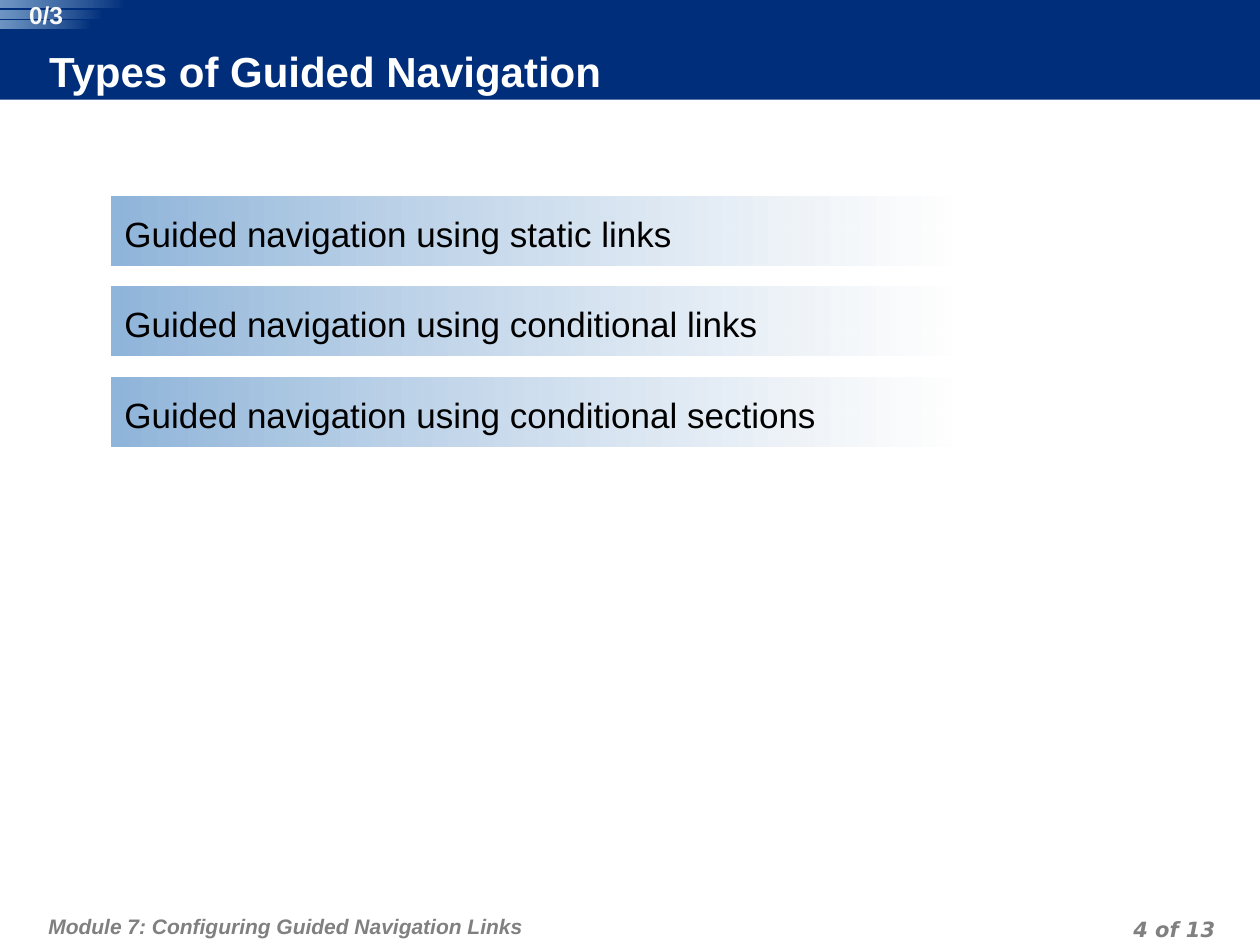
"""Builds the slide on the types of guided navigation."""
from lxml.etree import SubElement
from pptx import Presentation
from pptx.dml.color import RGBColor as Rgb
from pptx.enum.shapes import MSO_SHAPE as Preset
from pptx.enum.text import MSO_ANCHOR as Anchor, PP_ALIGN as Align
from pptx.oxml.ns import qn
from pptx.util import Pt

COLORS = {
    "navy": "002E7A",
    "sky": "90B5DA",
    "pale": "FEFEFE",
    "white": "FFFFFF",
    "counter": "F8F8F8",
    "gray": "808080",
    "black": "000000",
}


class SlideBuilder:
    def __init__(self, slide, font="Arial"):
        self.slide = slide
        self.font = font

    def color(self, name):
        return Rgb.from_string(COLORS[name])

    def set_text(self, shape, text, size, color, insets, align=Align.LEFT,
                 anchor=Anchor.TOP, bold=True, italic=False, font=None, line=None):
        frame = shape.text_frame
        frame.word_wrap = True
        frame.vertical_anchor = anchor
        (frame.margin_left, frame.margin_top,
         frame.margin_right, frame.margin_bottom) = map(Pt, insets)
        frame.text = text
        paragraph = frame.paragraphs[0]
        paragraph.alignment = align
        if line:
            paragraph.line_spacing = Pt(line)
        style = paragraph.font
        style.name = font or self.font
        style.size = Pt(size)
        style.bold = bold
        style.italic = italic
        style.color.rgb = self.color(color)

    def title(self, text, *box):
        title = self.slide.shapes.title
        title.left, title.top, title.width, title.height = map(Pt, box)
        title.fill.solid()
        title.fill.fore_color.rgb = self.color("navy")
        self.set_text(title, text, 24, "white", (0, 0, 3.6, 3.6), anchor=Anchor.MIDDLE)
        title.element.getparent().append(title.element)

    def label(self, text, box, size, color, insets, **style):
        label = self.slide.shapes.add_textbox(*map(Pt, box))
        self.set_text(label, text, size, color, insets, **style)

    def panel(self, preset, box):
        panel = self.slide.shapes.add_shape(preset, *map(Pt, box))
        panel.shadow.inherit = False
        panel.line.fill.background()
        return panel

    def band(self, *box):
        band = self.panel(Preset.RECTANGLE, box)
        band.fill.solid()
        band.fill.fore_color.rgb = self.color("navy")

    def fading_bar(self, box, stops):
        bar = self.panel(Preset.ROUNDED_RECTANGLE, box)
        bar.adjustments[0] = 0
        bar.fill.gradient()
        bar.fill.gradient_angle = 180
        for stop, (name, _) in zip(bar.fill.gradient_stops, stops):
            stop.color.rgb = self.color(name)
        for tint, (_, opacity) in zip(bar.element.iter(qn("a:srgbClr")), stops):
            if opacity < 100:
                SubElement(tint, qn("a:alpha"), val=str(opacity * 1000))
        return bar


def main():
    deck = Presentation()
    deck.slide_width, deck.slide_height = Pt(720), Pt(540)
    builder = SlideBuilder(deck.slides.add_slide(deck.slide_layouts[5]))

    builder.band(0, 0, 720, 57)
    builder.label("Module 7: Configuring Guided Navigation Links", (24, 511, 445, 29),
                  12, "gray", (3.6, 7.2, 3.6, 3.6), italic=True, line=18)
    builder.label("4 of 13", (530, 520, 168, 18), 12, "gray", (3.6, 0, 3.6, 0),
                  align=Align.RIGHT, italic=True, font="DejaVu Sans", line=18)
    builder.title("Types of Guided Navigation", 28, 27.5, 567, 29)

    topics = ("static links", "conditional links", "conditional sections")
    for row, topic in enumerate(topics):
        bar = builder.fading_bar((64, 112.2 + 51.8 * row, 479.5, 39.4),
                                 (("pale", 75), ("sky", 100)))
        builder.set_text(bar, f"Guided navigation using {topic}", 20, "black",
                         (7.2, 9, 7.2, 3.6), bold=False)

    for row, width in enumerate((72.5, 59, 52.5)):
        builder.fading_bar((0, 5.8 * row, width, 4.6), (("navy", 100), ("sky", 76)))
    builder.label("0/3", (8, 0, 36.7, 16.5), 14, "counter", (0, 0, 0, 0),
                  align=Align.CENTER)

    deck.save("out.pptx")


if __name__ == "__main__":
    main()
